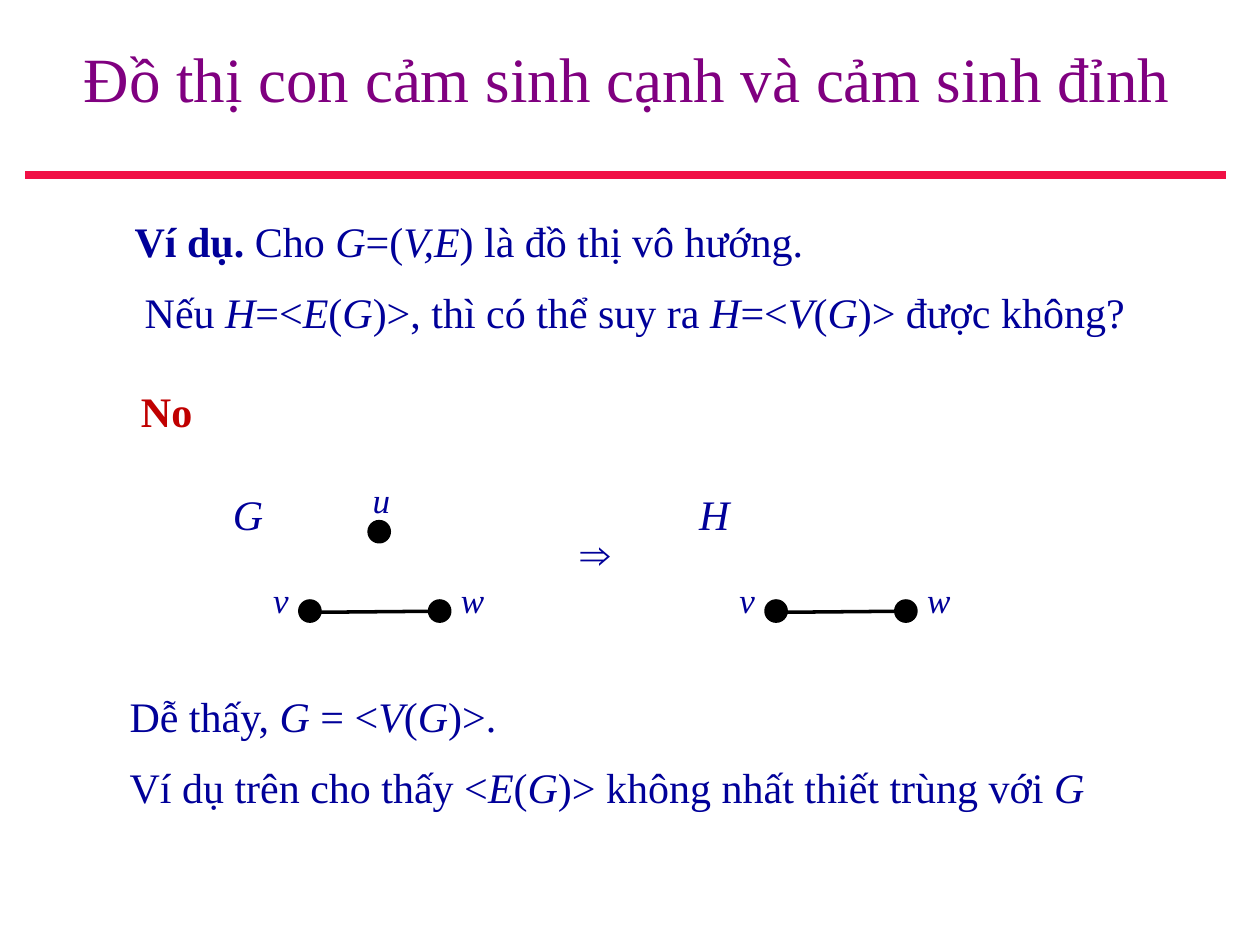
import pptx
import pptx.dml.color
import pptx.enum.shapes
import pptx.enum.text
import pptx.oxml.ns
import pptx.util
from lxml import etree
from pptx.util import Inches

NAVY = "000099"
BLACK = "000000"


def rgb(hex_code):
    return pptx.dml.color.RGBColor.from_string(hex_code)


class GraphSlide:
    font_name = "Times New Roman"
    dot_size = 0.16

    def __init__(self, deck):
        self.slide = deck.slides.add_slide(deck.slide_layouts[5])
        self.shapes = self.slide.shapes

    def style(self, run, size, color, bold=False, italic=False):
        run.font.name = self.font_name
        run.font.size = pptx.util.Pt(size)
        run.font.color.rgb = rgb(color)
        run.font.bold = bold
        run.font.italic = italic

    def title(self, wording, left, top, width, height):
        heading = self.shapes.title
        heading.left, heading.top = Inches(left), Inches(top)
        heading.width, heading.height = Inches(width), Inches(height)
        frame = heading.text_frame
        frame.text = wording
        frame.vertical_anchor = pptx.enum.text.MSO_ANCHOR.MIDDLE
        frame.paragraphs[0].alignment = pptx.enum.text.PP_ALIGN.CENTER
        self.style(frame.paragraphs[0].runs[0], 36, "800080")

    def statement(self, lines, left, top, width, height, lead=""):
        box = self.shapes.add_textbox(
            Inches(left), Inches(top), Inches(width), Inches(height))
        frame = box.text_frame
        frame.word_wrap = True
        for number, line in enumerate(lines):
            paragraph = frame.paragraphs[0] if number == 0 else frame.add_paragraph()
            if number:
                paragraph.space_before = pptx.util.Pt(12)
            elif lead:
                opening = paragraph.add_run()
                opening.text = lead
                self.style(opening, 24, NAVY, bold=True)
            for position, part in enumerate(line.split("*")):
                if part:
                    run = paragraph.add_run()
                    run.text = part
                    self.style(run, 24, NAVY, italic=position % 2 == 1)
        return frame

    def label(self, wording, left, top, width, height, size=24, color=NAVY,
              bold=False, italic=False, parent=None):
        box = (parent or self.shapes).add_textbox(
            Inches(left), Inches(top), Inches(width), Inches(height))
        box.text_frame.word_wrap = False
        box.text_frame.text = wording
        self.style(box.text_frame.paragraphs[0].runs[0], size, color, bold, italic)

    def line(self, start, end, color, weight, parent=None):
        stroke = (parent or self.shapes).add_connector(
            pptx.enum.shapes.MSO_CONNECTOR.STRAIGHT,
            *(Inches(value) for value in (*start, *end)))
        stroke.line.color.rgb = rgb(color)
        stroke.line.width = pptx.util.Pt(weight)
        etree.SubElement(stroke._element.spPr, pptx.oxml.ns.qn("a:effectLst"))

    def vertex(self, parent, left, top):
        dot = parent.add_shape(
            pptx.enum.shapes.MSO_SHAPE.OVAL, Inches(left), Inches(top),
            Inches(self.dot_size), Inches(self.dot_size))
        dot.shadow.inherit = False
        dot.fill.solid()
        dot.fill.fore_color.rgb = rgb(BLACK)
        dot.line.color.rgb = rgb(BLACK)
        dot.line.width = pptx.util.Pt(2)

    def graph(self, name, left, isolated_vertex=False):
        members = self.shapes.add_group_shape().shapes
        self.label(name, left, 3.83, 0.45, 0.51, italic=True, parent=members)
        self.vertex(members, left + 0.63, 4.77)
        self.vertex(members, left + 1.66, 4.77)
        self.line((left + 1.81, 4.85), (left + 0.71, 4.86), BLACK, 2, members)
        names = [("v", 0.32, 4.54, 0.32), ("w", 1.81, 4.54, 0.39)]
        if isolated_vertex:
            self.vertex(members, left + 1.18, 4.14)
            names.append(("u", 1.11, 3.75, 0.34))
        for letter, offset, top, width in names:
            self.label(letter, left + offset, top, width, 0.44, size=20,
                       italic=True, parent=members)


def main():
    deck = pptx.Presentation()
    deck.slide_width, deck.slide_height = Inches(10), Inches(7.5)
    page = GraphSlide(deck)

    page.title("Đồ thị con cảm sinh cạnh và cảm sinh đỉnh", 0.2, 0, 9.55, 1.23)
    page.line((0.2, 1.39), (9.73, 1.39), "F01045", 4.5)

    question = page.statement(
        ["Cho *G*=(*V,E*) là đồ thị vô hướng.",
         "Nếu *H*=<*E*(*G*)>, thì có thể suy ra *H*=<*V*(*G*)> được không?"],
        0.97, 1.66, 8.59, 1.1, lead="Ví dụ. ")
    question.paragraphs[1]._p.get_or_add_pPr().set("marL", str(Inches(0.08)))

    page.label("No", 1.02, 3.01, 0.61, 0.51, color="C00000", bold=True)
    page.graph("G", 1.75, isolated_vertex=True)
    page.graph("H", 5.45)
    page.label("⇒", 4.51, 4.14, 0.53, 0.51)

    page.statement(
        ["Dễ thấy, *G* = <*V*(*G*)>.",
         "Ví dụ trên cho thấy <*E*(*G*)> không nhất thiết trùng với *G*"],
        0.93, 5.43, 8.19, 1.08)

    deck.save("out.pptx")


if __name__ == "__main__":
    main()
